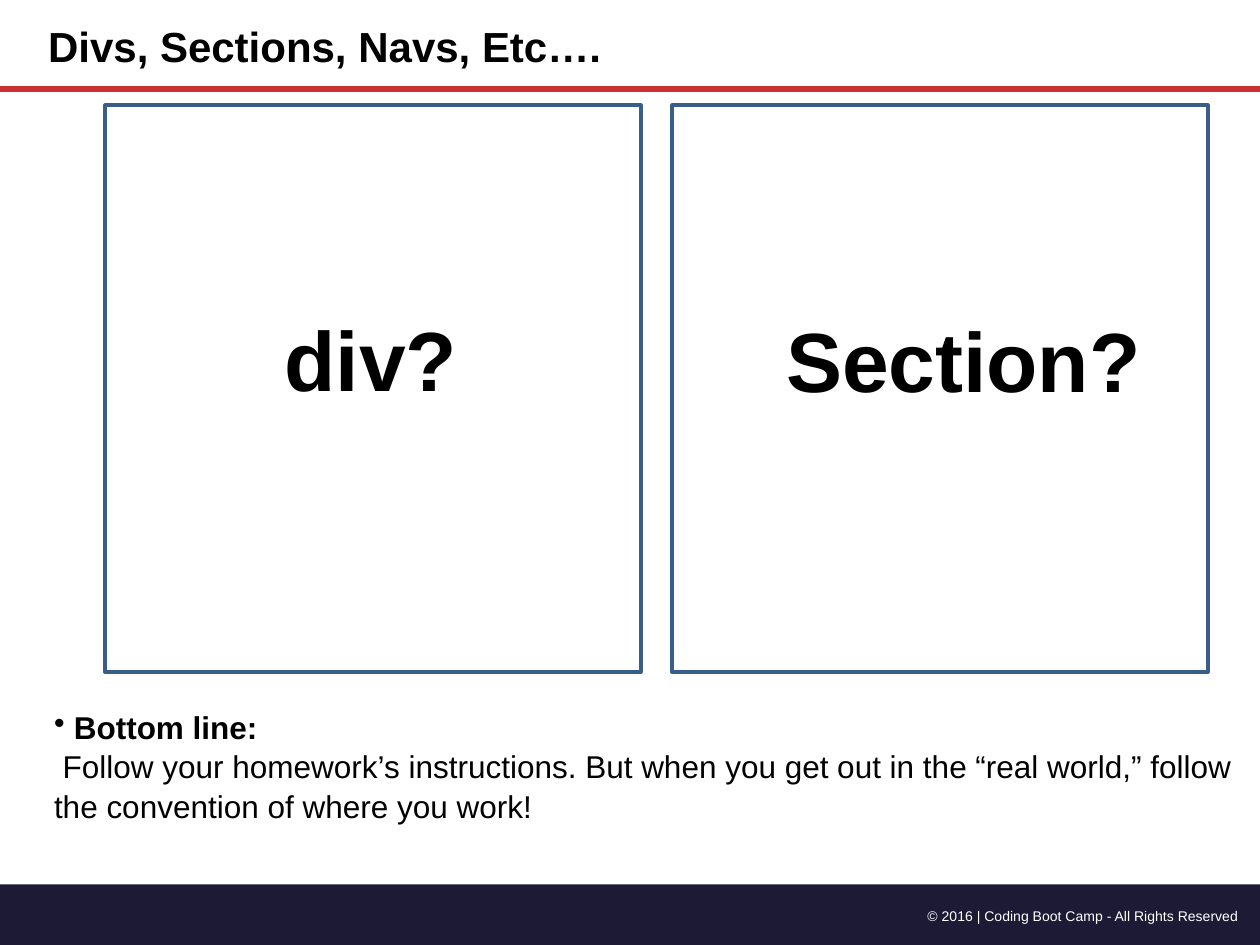
from typing import NamedTuple

from lxml.etree import SubElement
from pptx import Presentation
from pptx.dml.color import RGBColor
from pptx.enum.shapes import MSO_CONNECTOR, MSO_SHAPE
from pptx.enum.text import MSO_ANCHOR, PP_ALIGN as Align
from pptx.oxml.ns import qn
from pptx.util import Cm, Pt

NAVY = RGBColor(0x1D, 0x1A, 0x36)
RED = RGBColor(0xC8, 0x32, 0x32)
BLUE = RGBColor(0x3A, 0x5E, 0x8A)
BLACK = RGBColor(0, 0, 0)
WHITE = RGBColor(0xFF, 0xFF, 0xFF)


class Box(NamedTuple):
    """Left, top, width and height in centimetres."""
    x: float
    y: float
    w: float
    h: float

    def lengths(self) -> list:
        return [Cm(v) for v in self]


class Label(NamedTuple):
    box: Box
    lines: tuple
    size: int
    bold: bool = False
    color: RGBColor = BLACK
    align: Align = Align.LEFT
    inset: float = 0.13
    wrap: bool = True


def add_label(s, label: Label):
    tf = s.shapes.add_textbox(*label.box.lengths()).text_frame
    tf.word_wrap = label.wrap
    tf.margin_left = tf.margin_right = Cm(label.inset)
    tf.margin_top = tf.margin_bottom = Cm(label.inset)
    tf.text = "\n".join(label.lines)
    for p in tf.paragraphs:
        p.alignment = label.align
        font = p.font
        font.name, font.size, font.bold = "Arial", Pt(label.size), label.bold
        font.color.rgb = label.color
    return tf


def add_rect(s, box: Box, fill: RGBColor = None, line: RGBColor = None) -> None:
    sp = s.shapes.add_shape(MSO_SHAPE.RECTANGLE, *box.lengths())
    sp.shadow.inherit = False
    if fill is None:
        sp.fill.background()
    else:
        sp.fill.solid()
        sp.fill.fore_color.rgb = fill
    if line is None:
        sp.line.fill.background()
    else:
        sp.line.color.rgb = line
        sp.line.width = Pt(2)


def add_rule(s, y: float, width: float) -> None:
    line = s.shapes.add_connector(MSO_CONNECTOR.STRAIGHT, Cm(0), Cm(y), Cm(width), Cm(y))
    line.line.color.rgb = RED
    line.line.width = Pt(3.25)
    SubElement(line._element.spPr, qn("a:effectLst"))


FOOTER = Label(Box(17.35, 18.16, 7.75, 0.56),
               ("© 2016 | Coding Boot Camp - All Rights Reserved",),
               8, color=WHITE, align=Align.RIGHT)
TITLE = Label(Box(0.84, 0.28, 15.88, 1.22), ("Divs, Sections, Navs, Etc….",), 24, bold=True)
SUMMARY = Label(Box(0.84, 13.97, 24.26, 2.92),
                (" Bottom line:",
                 " Follow your homework’s instructions. But when you get out in the "
                 "“real world,” follow the convention of where you work!"),
                18, inset=0.25)
PANELS = [Box(x, 2.12, 10.8, 11.43) for x in (2.12, 13.55)]
QUESTIONS = [
    Label(Box(5.61, 6.07, 3.76, 2.13), ("div?",), 48, bold=True, wrap=False),
    Label(Box(15.72, 6.1, 7.44, 2.13), ("Section?",), 48, bold=True, wrap=False),
]


def main() -> None:
    prs = Presentation()
    prs.slide_width, prs.slide_height = Cm(25.4), Cm(19.05)
    s = prs.slides.add_slide(prs.slide_layouts[6])

    # Footer band and header
    add_rect(s, Box(0, 17.83, 25.42, 1.27), fill=NAVY)
    add_label(s, FOOTER)
    add_rule(s, 1.8, 25.4)
    add_label(s, TITLE)

    # Summary with a bulleted, bold lead
    tf = add_label(s, SUMMARY)
    tf.vertical_anchor = MSO_ANCHOR.MIDDLE
    for p in tf.paragraphs:
        p.line_spacing = 1.04
    lead = tf.paragraphs[0]
    lead.font.bold = True
    bullet = SubElement(lead._p.get_or_add_pPr(), qn("a:buChar"), char="•")
    bullet.getparent().find(qn("a:defRPr")).addprevious(bullet)

    # Two panels, each with its question
    for panel in PANELS:
        add_rect(s, panel, line=BLUE)
    for question in QUESTIONS:
        add_label(s, question)

    prs.save("out.pptx")


if __name__ == "__main__":
    main()
